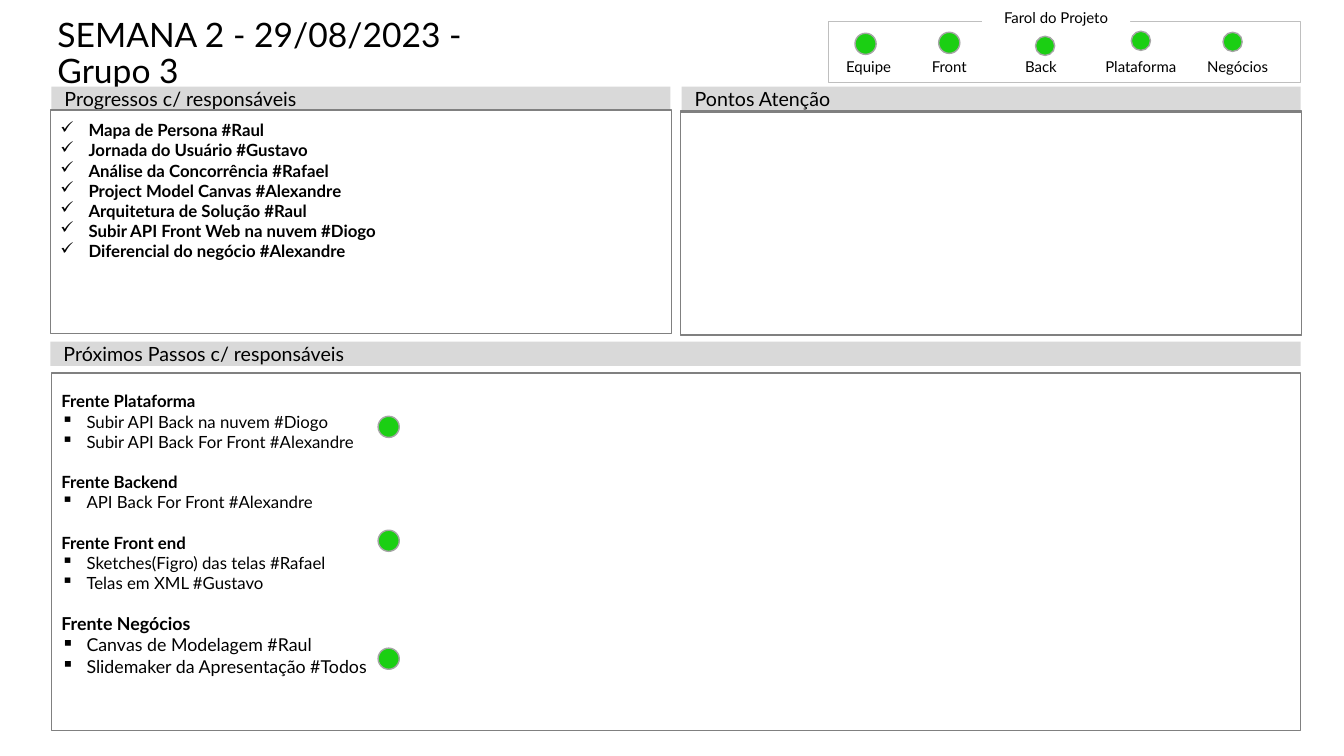
from lxml import etree
from pptx import Presentation
from pptx.dml.color import RGBColor
from pptx.enum.shapes import MSO_SHAPE
from pptx.enum.text import MSO_ANCHOR, MSO_AUTO_SIZE, PP_ALIGN
from pptx.oxml.ns import qn
from pptx.util import Inches, Pt

RECT, OVAL = MSO_SHAPE.RECTANGLE, MSO_SHAPE.OVAL
TOP, MIDDLE, BOTTOM = MSO_ANCHOR.TOP, MSO_ANCHOR.MIDDLE, MSO_ANCHOR.BOTTOM
LEFT, CENTER = PP_ALIGN.LEFT, PP_ALIGN.CENTER
NO_FIT = MSO_AUTO_SIZE.NONE

BLACK = RGBColor(0x00, 0x00, 0x00)
WHITE = RGBColor(0xFF, 0xFF, 0xFF)
GREEN = RGBColor(0x1B, 0xCF, 0x13)
BAR_GRAY = RGBColor(0xD9, 0xD9, 0xD9)
PANEL_GRAY = RGBColor(0x80, 0x80, 0x80)
RING_GRAY = RGBColor(0xA5, 0xA5, 0xA5)
FRAME_GRAY = RGBColor(0xBF, 0xBF, 0xBF)

FONT = "Lato"
LABEL_SIZE = 10.7

BARS = [
    (0.51, 0.86, 6.14, "Progressos c/ responsáveis"),
    (6.76, 0.86, 6.14, "Pontos Atenção"),
    (0.5, 3.39, 12.4, "Próximos Passos c/ responsáveis"),
]
PROGRESS = [
    "Mapa de Persona #Raul",
    "Jornada do Usuário #Gustavo",
    "Análise da Concorrência #Rafael",
    "Project Model Canvas #Alexandre",
    "Arquitetura de Solução #Raul",
    "Subir API Front Web na nuvem #Diogo",
    "Diferencial do negócio #Alexandre",
]
NEXT_STEPS = [
    ("Frente Plataforma", 12,
     ["Subir API Back na nuvem #Diogo", "Subir API Back For Front #Alexandre"]),
    ("Frente Backend", 12, ["API Back For Front #Alexandre"]),
    ("Frente Front end", 12,
     ["Sketches(Figro) das telas #Rafael", "Telas em XML #Gustavo"]),
    ("Frente Negócios", 12.7,
     ["Canvas de Modelagem #Raul", "Slidemaker da Apresentação #Todos"]),
]
STATUS_LABELS = [
    (8.17, "Equipe"), (8.97, "Front"), (9.88, "Back"),
    (10.87, "Plataforma"), (11.83, "Negócios"),
]
LIGHTS = [
    (8.48, 0.33, 0.21), (9.31, 0.32, 0.21), (10.27, 0.36, 0.19),
    (11.22, 0.31, 0.19), (12.13, 0.32, 0.19),
    (3.75, 4.13, 0.21), (3.75, 5.26, 0.21), (3.75, 6.43, 0.21),
]


def set_all(target, values):
    """Set every attribute in a dict of format values."""
    for name, value in values.items():
        setattr(target, name, value)


def set_frame(tf, anchor, insets, wrap=True):
    """Set the anchor, margins and wrapping of a text frame."""
    left, top, right, bottom = (Inches(v) for v in insets)
    set_all(tf, {
        "auto_size": NO_FIT, "word_wrap": wrap, "vertical_anchor": anchor,
        "margin_left": left, "margin_top": top,
        "margin_right": right, "margin_bottom": bottom,
    })


def add_text(p, text, size, bold=False, align=LEFT):
    """Write one formatted run into a paragraph."""
    p.alignment = align
    r = p.add_run()
    r.text = text
    set_all(r.font, {"name": FONT, "size": Pt(size), "bold": bold})
    r.font.color.rgb = BLACK


def next_paragraph(tf):
    """Return the first paragraph if unused, else a new one."""
    p = tf.paragraphs[0]
    return tf.add_paragraph() if p.runs else p


def add_bullet(tf, char, indent, text, size, bold=False):
    """Add a paragraph with a hanging bullet."""
    p = next_paragraph(tf)
    add_text(p, text, size, bold)
    pPr = p._p.get_or_add_pPr()
    pPr.set("marL", str(Inches(indent)))
    pPr.set("indent", str(-Inches(indent)))
    etree.SubElement(pPr, qn("a:buChar")).set("char", char)


def add_box(slide, kind, at, fill=None, line=None, width=1):
    """Add a preset shape with optional fill and outline."""
    s = slide.shapes.add_shape(kind, *(Inches(v) for v in at))
    s.shadow.inherit = False
    if fill is None:
        s.fill.background()
    else:
        s.fill.solid()
        s.fill.fore_color.rgb = fill
    if line is None:
        s.line.fill.background()
    else:
        s.line.color.rgb = line
        s.line.width = Pt(width)
    return s


def add_title(slide, text):
    """Place and format the title placeholder."""
    s = slide.shapes.title
    box = {"left": 0.47, "top": 0.18, "width": 5.13, "height": 0.79}
    set_all(s, {name: Inches(v) for name, v in box.items()})
    set_frame(s.text_frame, TOP, (0.1, 0, 0.1, 0))
    p = s.text_frame.paragraphs[0]
    p.line_spacing = 0.9
    add_text(p, text, 24)


def add_bar(slide, left, top, width, text):
    """Add a gray section heading."""
    s = add_box(slide, RECT, (left, top, width, 0.24), fill=BAR_GRAY)
    set_frame(s.text_frame, MIDDLE, (0.13, 0.07, 0.13, 0.07))
    add_text(s.text_frame.paragraphs[0], text, 14)


def add_label(s, text):
    """Write a small centred label at the bottom of a shape."""
    set_frame(s.text_frame, BOTTOM, (0.05, 0.05, 0.05, 0), wrap=False)
    add_text(s.text_frame.paragraphs[0], text, LABEL_SIZE, align=CENTER)


def add_progress(slide):
    """Add the panel of finished work."""
    s = add_box(slide, RECT, (0.5, 1.09, 6.16, 2.22), line=PANEL_GRAY)
    set_frame(s.text_frame, TOP, (0.1, 0.1, 0.1, 0.05))
    for text in PROGRESS:
        add_bullet(s.text_frame, "✓", 0.28, text, 12, bold=True)


def add_next_steps(slide):
    """Add the panel of next steps grouped by front."""
    s = add_box(slide, RECT, (0.51, 3.7, 12.39, 3.55), line=PANEL_GRAY)
    tf = s.text_frame
    set_frame(tf, TOP, (0.1, 0.18, 0.1, 0.05))
    for i, (front, size, tasks) in enumerate(NEXT_STEPS):
        p = next_paragraph(tf)
        p.space_before = Pt(14.4 if i else 0)
        add_text(p, front, size, bold=True)
        for task in tasks:
            add_bullet(tf, "▪", 0.25, task, size)


def add_status(slide):
    """Add the project status frame with its heading and labels."""
    add_box(slide, RECT, (8.22, 0.21, 4.68, 0.61), line=FRAME_GRAY, width=0.5)
    heading = add_box(slide, RECT, (9.74, 0.05, 1.47, 0.21), fill=WHITE)
    add_label(heading, "Farol do Projeto")
    for left, text in STATUS_LABELS:
        at = (Inches(v) for v in (left, 0.57, 0.89, 0.18))
        add_label(slide.shapes.add_textbox(*at), text)


def main():
    """Build the weekly status slide."""
    prs = Presentation()
    prs.slide_width, prs.slide_height = Inches(13.33), Inches(7.5)
    slide = prs.slides.add_slide(prs.slide_layouts[5])
    add_title(slide, "SEMANA 2 - 29/08/2023 - Grupo 3")
    for bar in BARS:
        add_bar(slide, *bar)
    for top in (1.1, 1.11):
        add_box(slide, RECT, (6.75, top, 6.16, 2.22), line=PANEL_GRAY)
    add_progress(slide)
    add_next_steps(slide)
    add_status(slide)
    for left, top, size in LIGHTS:
        add_box(slide, OVAL, (left, top, size, size), GREEN, RING_GRAY)
    prs.save("out.pptx")


if __name__ == "__main__":
    main()
